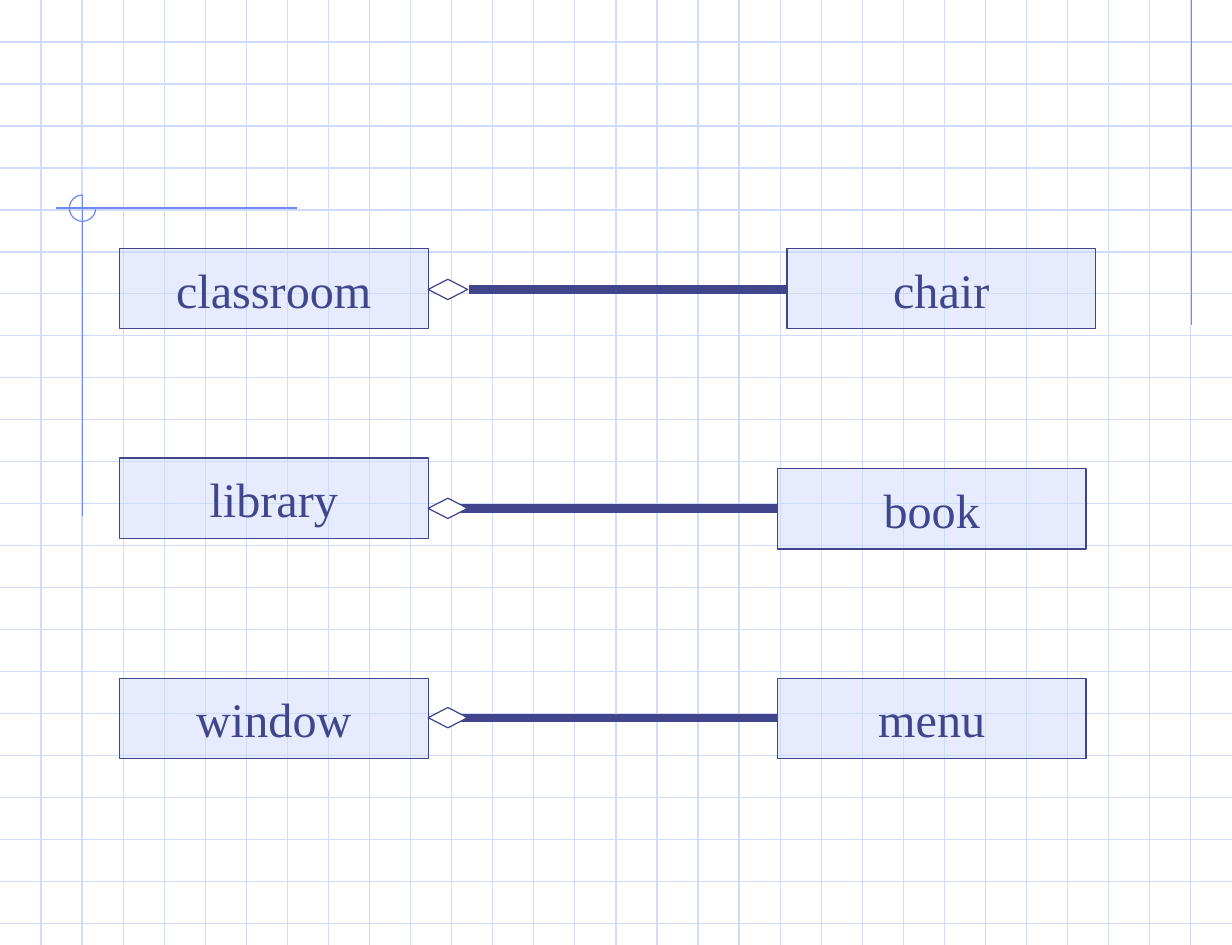
from lxml.etree import SubElement
from pptx import Presentation
from pptx.dml.color import RGBColor
from pptx.enum.shapes import MSO_CONNECTOR, MSO_SHAPE
from pptx.enum.text import MSO_ANCHOR, PP_ALIGN
from pptx.oxml.ns import qn
from pptx.util import Inches, Pt

WIDTH, HEIGHT = 10.3, 7.9
GRID, GUIDE, INK = "CFDBFD", "6F89F7", "40458C"
COLUMN_STEP, ROW_STEP = 0.3433, 0.351
BOX_WIDTH, BOX_HEIGHT = 2.58, 0.67
WHOLE_LEFT = 1
DIAMOND_WIDTH, DIAMOND_HEIGHT = 0.33, 0.17

AGGREGATIONS = [
    ("classroom", 2.08, "chair", 6.58, 2.08, 3.92, 2.42),
    ("library", 3.83, "book", 6.5, 3.92, 3.83, 4.25),
    ("window", 5.67, "menu", 6.5, 5.67, 3.83, 6),
]


def color(value):
    return RGBColor.from_string(value)


def add_line(slide, x1, y1, x2, y2, stroke, weight=0.75):
    line = slide.shapes.add_connector(
        MSO_CONNECTOR.STRAIGHT, Inches(x1), Inches(y1), Inches(x2), Inches(y2))
    line.line.color.rgb = color(stroke)
    line.line.width = Pt(weight)
    SubElement(line._element.spPr, qn("a:effectLst"))


def add_outline(slide, kind, left, top, width, height, stroke):
    outline = slide.shapes.add_shape(
        kind, Inches(left), Inches(top), Inches(width), Inches(height))
    outline.shadow.inherit = False
    outline.line.color.rgb = color(stroke)
    outline.line.width = Pt(0.75)
    return outline


def add_class_box(slide, label, left, top):
    box = add_outline(slide, MSO_SHAPE.RECTANGLE, left, top, BOX_WIDTH, BOX_HEIGHT, INK)
    box.fill.solid()
    box.fill.fore_color.rgb = color(GRID)
    tint = box._element.spPr.find(qn("a:solidFill"))[0]
    SubElement(tint, qn("a:alpha"), val="50000")
    frame = box.text_frame
    frame.word_wrap = False
    frame.vertical_anchor = MSO_ANCHOR.MIDDLE
    paragraph = frame.paragraphs[0]
    paragraph.text = label
    paragraph.alignment = PP_ALIGN.CENTER
    paragraph.font.name = "Times New Roman"
    paragraph.font.size = Pt(29)
    paragraph.font.color.rgb = color(INK)


def add_diamond(slide, left, middle):
    diamond = add_outline(slide, MSO_SHAPE.FLOWCHART_DECISION, left,
                          middle - DIAMOND_HEIGHT / 2, DIAMOND_WIDTH, DIAMOND_HEIGHT, INK)
    diamond.fill.solid()
    diamond.fill.fore_color.rgb = color("FFFFFF")


def add_grid(slide):
    for row in range(1, int(HEIGHT / ROW_STEP) + 1):
        add_line(slide, 0, row * ROW_STEP, WIDTH, row * ROW_STEP, GRID)
    for column in range(1, int(WIDTH / COLUMN_STEP)):
        add_line(slide, column * COLUMN_STEP, 0, column * COLUMN_STEP, HEIGHT, GRID)


def add_guides(slide):
    add_line(slide, 9.96, 0, 9.96, 2.72, GUIDE)
    add_line(slide, 2.48, 1.74, 0.47, 1.74, GUIDE)
    add_line(slide, 0.69, 1.63, 0.69, 4.31, GUIDE)
    arc = add_outline(slide, MSO_SHAPE.ARC, 0.58, 1.63, 0.22, 0.22, GUIDE)
    arc.fill.background()
    arc.adjustments[0] = 0
    arc.adjustments[1] = 162


def add_aggregation(slide, whole, whole_top, part, part_left, part_top, link_end, link_y):
    add_class_box(slide, whole, WHOLE_LEFT, whole_top)
    add_class_box(slide, part, part_left, part_top)
    add_line(slide, part_left, link_y, link_end, link_y, INK, 5)
    add_diamond(slide, WHOLE_LEFT + BOX_WIDTH, link_y)


def main():
    presentation = Presentation()
    presentation.slide_width = Inches(WIDTH)
    presentation.slide_height = Inches(HEIGHT)
    slide = presentation.slides.add_slide(presentation.slide_layouts[6])
    add_grid(slide)
    add_guides(slide)
    for aggregation in AGGREGATIONS:
        add_aggregation(slide, *aggregation)
    presentation.save("out.pptx")


if __name__ == "__main__":
    main()
